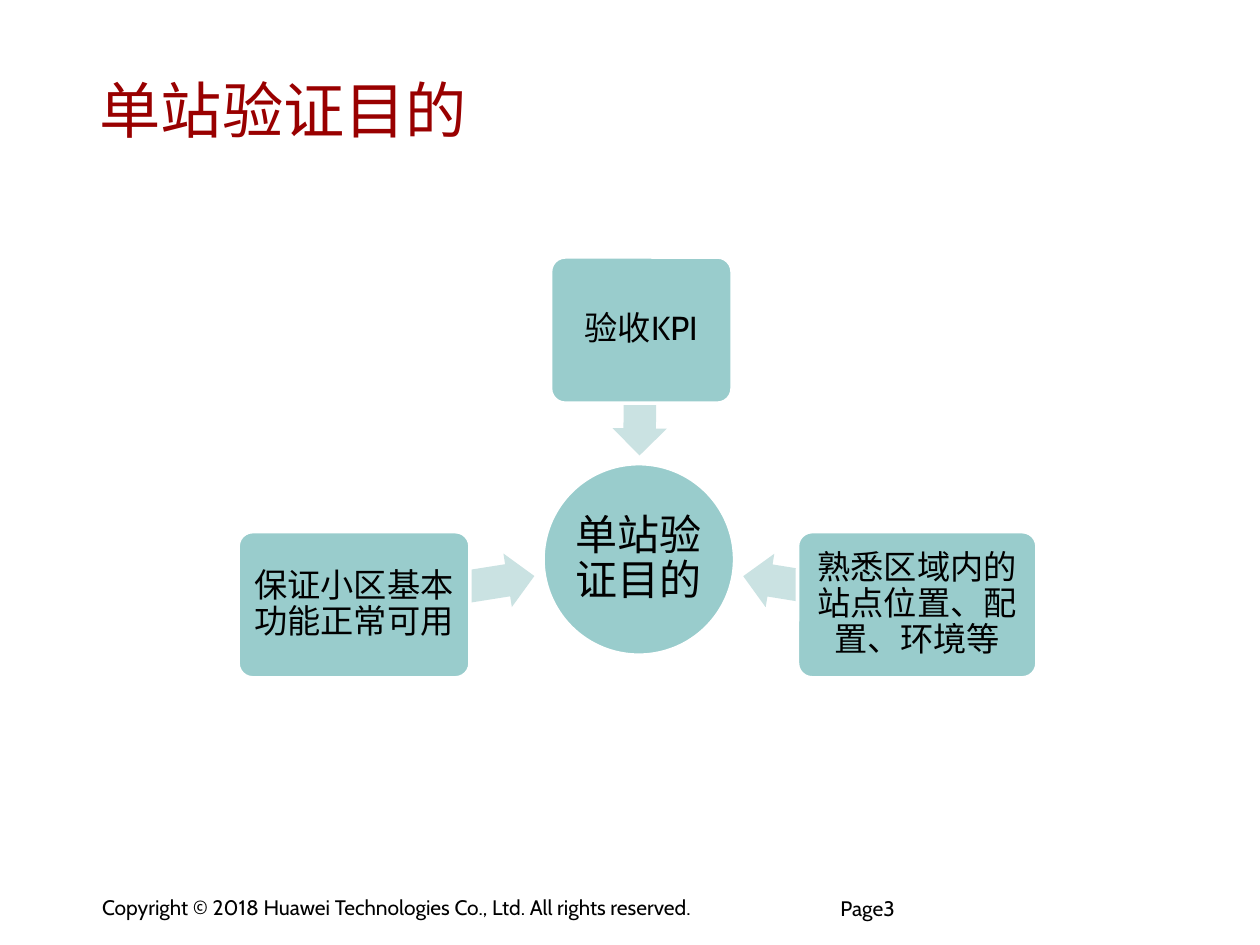
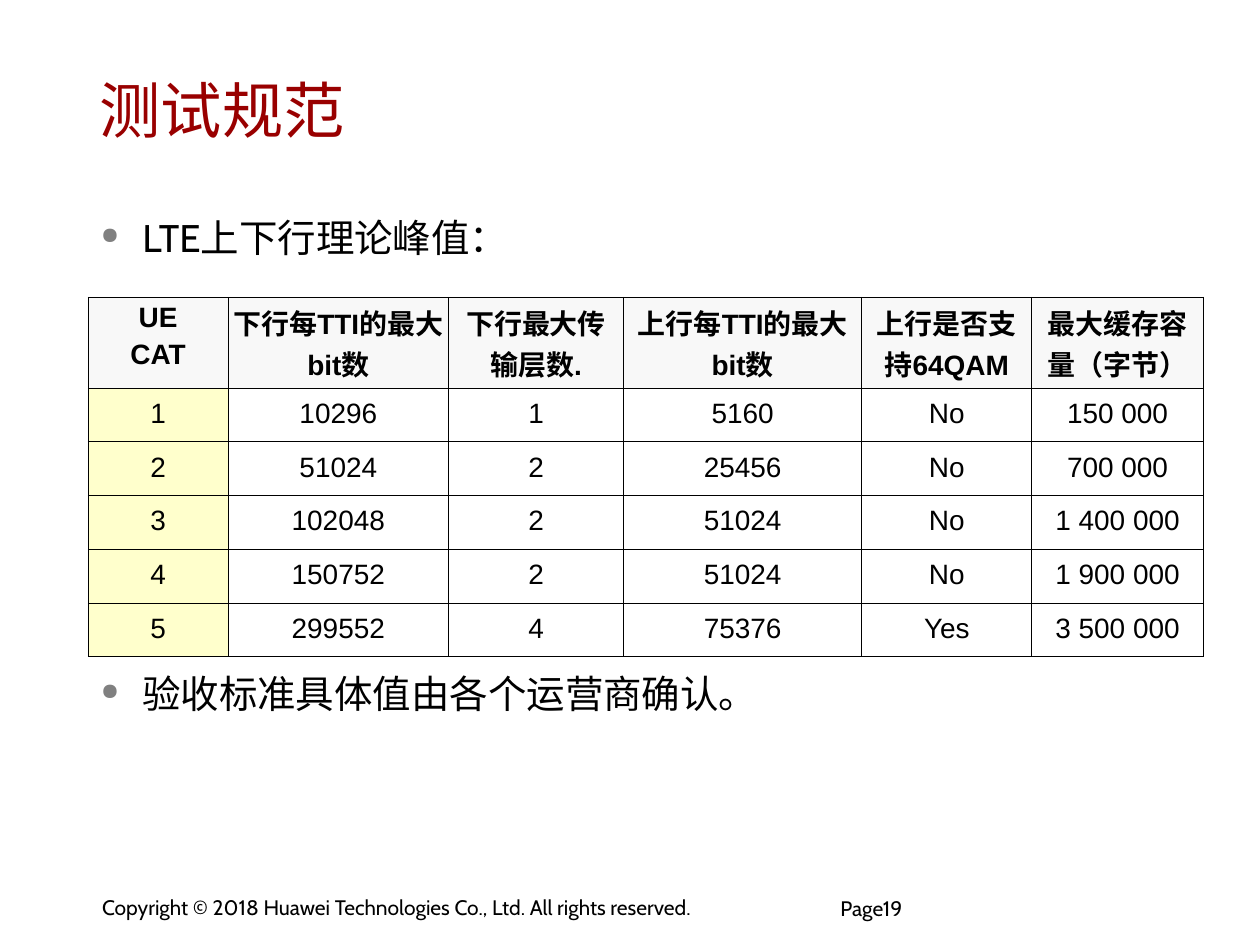
from pptx import Presentation
from pptx.dml.color import RGBColor
from pptx.enum.shapes import MSO_SHAPE
from pptx.enum.text import MSO_ANCHOR, PP_ALIGN
from pptx.oxml import parse_xml
from pptx.oxml.ns import nsdecls
from pptx.util import Inches, Pt

COLORS = {
    "text": "000000", "title": "990000", "node": "99CCCC", "arrow": "CAE2E2",
    "edge": "FFFFFF", "head": "F8F8F8", "key": "FFFFCC", "bullet": "808080",
}
OWNER = "Copyright © 2018 Huawei Technologies Co., Ltd. All rights reserved."


def paint(name):
    return RGBColor.from_string(COLORS[name])


def add_xml(parent, xml):
    """Append an element given as text, with the drawing namespace added."""
    tag, rest = xml.split(" ", 1)
    parent.append(parse_xml(f"{tag} {nsdecls('a')} {rest}"))


def write(frame, text, size=12, color="text", font="Cabin", bold=False,
          align=PP_ALIGN.LEFT, anchor=MSO_ANCHOR.TOP, pad=(0.09, 0.04),
          lines=1.0, gap=0, bullet=False):
    """Fill a text frame or table cell; each line of text is a paragraph."""
    frame.margin_left = frame.margin_right = Inches(pad[0])
    frame.margin_top = frame.margin_bottom = Inches(pad[1])
    frame.vertical_anchor = anchor
    body = getattr(frame, "text_frame", frame)
    body.word_wrap = True
    for i, line in enumerate(text.split("\n")):
        para = body.add_paragraph() if i else body.paragraphs[0]
        if bullet:
            props = para._p.get_or_add_pPr()
            props.set("marL", str(Inches(0.33)))
            props.set("indent", str(Inches(-0.33)))
            add_xml(props, f'<a:buClr ><a:srgbClr val="{COLORS["bullet"]}"/></a:buClr>')
            add_xml(props, '<a:buSzPct val="60000"/>')
            add_xml(props, '<a:buChar char="●"/>')
        para.alignment = align
        para.line_spacing = lines
        if i:
            para.space_before = Pt(gap)
        run = para.add_run()
        run.text = line
        run.font.name = font
        run.font.size = Pt(size)
        run.font.bold = bold
        run.font.color.rgb = paint(color)


class Deck:
    def __init__(self):
        self.prs = Presentation()
        self.prs.slide_width = Inches(10)
        self.prs.slide_height = Inches(7.5)
        self.slide = None

    def page(self, title, number):
        """Start a slide with the shared title and footer."""
        self.slide = self.prs.slides.add_slide(self.prs.slide_layouts[6])
        self.text(OWNER, 0.72, 7.06, 5.49, 0.29)
        self.text(title, 0.7, 0.39, 8.45, 0.95, size=35, color="title",
                  anchor=MSO_ANCHOR.MIDDLE)
        self.text(f"Page{number}", 6.67, 7.14, 1.66, 0.36, pad=(0, 0), lines=0.85)

    def text(self, text, x, y, w, h, **style):
        box = self.slide.shapes.add_textbox(*map(Inches, (x, y, w, h)))
        write(box.text_frame, text, **style)

    def shape(self, kind, x, y, w, h, fill, adjust=()):
        item = self.slide.shapes.add_shape(kind, *map(Inches, (x, y, w, h)))
        item.shadow.inherit = False
        item.fill.solid()
        item.fill.fore_color.rgb = paint(fill)
        item.line.fill.background()
        for i, value in enumerate(adjust):
            item.adjustments[i] = value
        return item

    def node(self, kind, text, x, y, w, h, size=19, pad=0.04, adjust=()):
        item = self.shape(kind, x, y, w, h, "node", adjust)
        item.line.color.rgb = paint("edge")
        item.line.width = Pt(2)
        write(item.text_frame, text, size=size, align=PP_ALIGN.CENTER,
              anchor=MSO_ANCHOR.MIDDLE, pad=(pad, pad), lines=0.9)

    def arrow(self, x, y, w, turn):
        item = self.shape(MSO_SHAPE.LEFT_ARROW, x, y, w, 0.43, "arrow", (0.6, 0.5))
        item.rotation = turn

    def table(self, rows, x, y, widths, heights):
        frame = self.slide.shapes.add_table(
            len(rows), len(widths), Inches(x), Inches(y),
            Inches(sum(widths)), Inches(sum(heights)))
        grid = frame.table
        grid.first_row = grid.horz_banding = False
        for col, width in zip(grid.columns, widths):
            col.width = Inches(width)
        for r, (row, height) in enumerate(zip(rows, heights)):
            grid.rows[r].height = Inches(height)
            for c, text in enumerate(row):
                cell = grid.cell(r, c)
                write(cell, text, size=16, font="Arial", bold=r == 0, gap=3.2,
                      align=PP_ALIGN.CENTER, pad=(0.04, 0.08 if r else 0.04))
                self.border(cell)
                if r and c:
                    cell.fill.background()
                else:
                    cell.fill.solid()
                    cell.fill.fore_color.rgb = paint("key" if r else "head")

    def border(self, cell):
        props = cell._tc.get_or_add_tcPr()
        for side in "LRTB":
            add_xml(props, f'<a:ln{side} w="{Pt(0.5)}"><a:solidFill><a:srgbClr '
                           f'val="{COLORS["text"]}"/></a:solidFill></a:ln{side}>')


def goals(deck):
    deck.page("单站验证目的", 3)
    # Centre circle
    deck.node(MSO_SHAPE.OVAL, "单站验证目的", 4.31, 3.68, 1.52, 1.52,
              size=24, pad=0.02)
    # Each goal: text, box left, top, width, then arrow left, top, width, turn
    spokes = [
        ("保证小区基本功能正常可用", (1.89, 4.22, 1.84), (2.8, 4.47, 1.45, 171)),
        ("验收KPI", (4.37, 2.04, 1.44), (4.58, 2.9, 1, 270.5)),
        ("熟悉区域内的站点位置、配置、环境等", (6.33, 4.22, 1.9), (5.89, 4.47, 1.4, 9.2)),
    ]
    for text, box, arrow in spokes:
        deck.arrow(*arrow)
        deck.node(MSO_SHAPE.ROUNDED_RECTANGLE, text, *box, 1.16, adjust=(0.1,))


def limits(deck):
    deck.page("测试规范", 19)
    # Bullets above and below the table
    for text, top in (("LTE上下行理论峰值：", 1.51),
                      ("验收标准具体值由各个运营商确认。", 5.13)):
        deck.text(text, 0.71, top, 8.67, 0.7, size=22, lines=1.4, bullet=True)
    # Peak values by terminal category
    rows = [
        ("UE\nCAT", "下行每TTI的最大bit数", "下行最大传输层数.",
         "上行每TTI的最大bit数", "上行是否支持64QAM", "最大缓存容量（字节）"),
        ("1", "10296", "1", "5160", "No", "150 000"),
        ("2", "51024", "2", "25456", "No", "700 000"),
        ("3", "102048", "2", "51024", "No", "1 400 000"),
        ("4", "150752", "2", "51024", "No", "1 900 000"),
        ("5", "299552", "4", "75376", "Yes", "3 500 000"),
    ]
    deck.table(rows, 0.7, 2.36, (1.11, 1.75, 1.39, 1.89, 1.35, 1.36),
               [0.72] + [0.4] * 5)


def main():
    deck = Deck()
    goals(deck)
    limits(deck)
    deck.prs.save("out.pptx")


if __name__ == "__main__":
    main()
